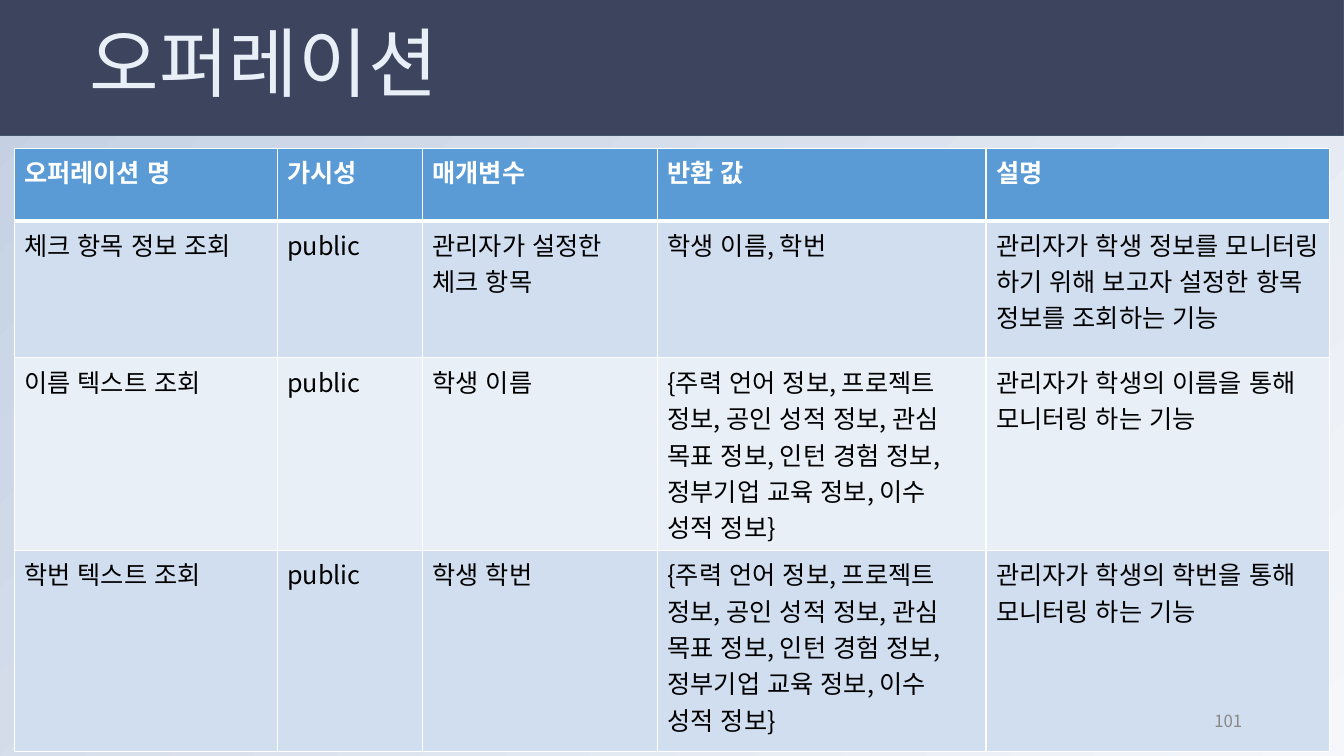
import pptx
import pptx.util
import pptx.dml.color
import pptx.enum.lang
import pptx.enum.shapes
import pptx.enum.text
import pptx.oxml
import pptx.oxml.ns

Inches = pptx.util.Inches
Pt = pptx.util.Pt
RGBColor = pptx.dml.color.RGBColor
qn = pptx.oxml.ns.qn

TITLE = "오퍼레이션"
PAGE_NUMBER = "101"
STUDENT_RECORD = (
    "{주력 언어 정보, 프로젝트 정보, 공인 성적 정보, 관심 목표 정보, "
    "인턴 경험 정보, 정부기업 교육 정보, 이수 성적 정보}"
)
OPERATIONS = [
    ("오퍼레이션 명", "가시성", "매개변수", "반환 값", "설명"),
    ("체크 항목 정보 조회", "public", "관리자가 설정한 체크 항목", "학생 이름, 학번",
     "관리자가 학생 정보를 모니터링 하기 위해 보고자 설정한 항목 정보를 조회하는 기능"),
    ("이름 텍스트 조회", "public", "학생 이름", STUDENT_RECORD,
     "관리자가 학생의 이름을 통해 모니터링 하는 기능"),
    ("학번 텍스트 조회", "public", "학생 학번", STUDENT_RECORD,
     "관리자가 학생의 학번을 통해 모니터링 하는 기능"),
]
COLUMN_WIDTHS = [2.61, 1.44, 2.33, 3.26, 3.41]
ROW_HEIGHTS = [0.72, 1.36, 1.79, 2]

FONT = "Noto Sans CJK KR"
WHITE = RGBColor(0xFF, 0xFF, 0xFF)
BLACK = RGBColor(0x00, 0x00, 0x00)
GRAY = RGBColor(0x88, 0x88, 0x88)
NAVY = RGBColor(0x3D, 0x44, 0x5E)
SLATE = RGBColor(0x44, 0x54, 0x6A)
HEADER_BLUE = RGBColor(0x5B, 0x9B, 0xD5)
BAND_DARK = RGBColor(0xD0, 0xDE, 0xEF)
BAND_LIGHT = RGBColor(0xE9, 0xEF, 0xF7)
BACKGROUND_STOPS = [RGBColor(0xF5, 0xF7, 0xFA), RGBColor(0xC3, 0xCF, 0xE2)]


def write(text_frame, text, size, color, bold=False):
    text_frame.word_wrap = True
    paragraph = text_frame.paragraphs[0]
    run = paragraph.add_run()
    run.text = text
    run.font.size = Pt(size)
    run.font.bold = bold
    run.font.color.rgb = color
    run.font.name = FONT
    run.font.language_id = pptx.enum.lang.MSO_LANGUAGE_ID.KOREAN
    latin = run.font._element.find(qn("a:latin"))
    east_asian = pptx.oxml.parse_xml(
        f'<a:ea {pptx.oxml.ns.nsdecls("a")} typeface="{FONT}"/>')
    latin.addnext(east_asian)
    return paragraph


def set_borders(cell, widths):
    properties = cell._tc.get_or_add_tcPr()
    for index, (side, width) in enumerate(widths.items()):
        border = pptx.oxml.parse_xml(
            f'<a:ln{side} {pptx.oxml.ns.nsdecls("a")} w="{Pt(width)}">'
            f'<a:solidFill><a:srgbClr val="{WHITE}"/></a:solidFill></a:ln{side}>')
        properties.insert(index, border)


def add_operations_table(slide):
    frame = slide.shapes.add_table(
        len(ROW_HEIGHTS), len(COLUMN_WIDTHS), Inches(0.14), Inches(1.47),
        Inches(sum(COLUMN_WIDTHS)), Inches(sum(ROW_HEIGHTS)))
    table = frame.table
    for column, width in zip(table.columns, COLUMN_WIDTHS):
        column.width = Inches(width)
    for row, height in zip(table.rows, ROW_HEIGHTS):
        row.height = Inches(height)
    for row_index, texts in enumerate(OPERATIONS):
        is_header = row_index == 0
        band = BAND_DARK if row_index % 2 else BAND_LIGHT
        for column_index, text in enumerate(texts):
            cell = table.cell(row_index, column_index)
            cell.fill.solid()
            cell.fill.fore_color.rgb = HEADER_BLUE if is_header else band
            write(cell.text_frame, text, 18, WHITE if is_header else BLACK, is_header)
            set_borders(cell, {"L": 1, "R": 1, "T": 3 if row_index == 1 else 1,
                               "B": 3 if is_header else 1})


def add_title_bar(slide, slide_width):
    bar = slide.shapes.add_shape(
        pptx.enum.shapes.MSO_SHAPE.RECTANGLE,
        0, Inches(-0.01), slide_width, Inches(1.35))
    bar.shadow.inherit = False
    bar.fill.solid()
    bar.fill.fore_color.rgb = NAVY
    bar.line.color.rgb = SLATE
    bar.line.width = Pt(0.75)

    title = slide.shapes.title
    bar._element.addnext(title._element)
    title.left, title.top = Inches(0.79), Inches(-0.06)
    title.width, title.height = Inches(11.5), Inches(1.45)
    title.text_frame.auto_size = pptx.enum.text.MSO_AUTO_SIZE.NONE
    title.text_frame.vertical_anchor = pptx.enum.text.MSO_ANCHOR.MIDDLE
    paragraph = write(title.text_frame, TITLE, 54, BAND_LIGHT)
    paragraph.alignment = pptx.enum.text.PP_ALIGN.LEFT
    paragraph.line_spacing = 0.9


def add_page_number(slide):
    box = slide.shapes.add_textbox(Inches(9.42), Inches(6.95), Inches(3), Inches(0.4))
    box.text_frame.vertical_anchor = pptx.enum.text.MSO_ANCHOR.MIDDLE
    paragraph = write(box.text_frame, PAGE_NUMBER, 12, GRAY)
    paragraph.alignment = pptx.enum.text.PP_ALIGN.RIGHT


def main():
    presentation = pptx.Presentation()
    presentation.slide_width = Inches(13.33)
    presentation.slide_height = Inches(7.5)
    slide = presentation.slides.add_slide(presentation.slide_layouts[5])

    background = slide.background.fill
    background.gradient()
    background.gradient_angle = 135
    for stop, color in zip(background.gradient_stops, BACKGROUND_STOPS):
        stop.color.rgb = color

    add_operations_table(slide)
    add_title_bar(slide, presentation.slide_width)
    add_page_number(slide)
    presentation.save("out.pptx")


if __name__ == "__main__":
    main()
